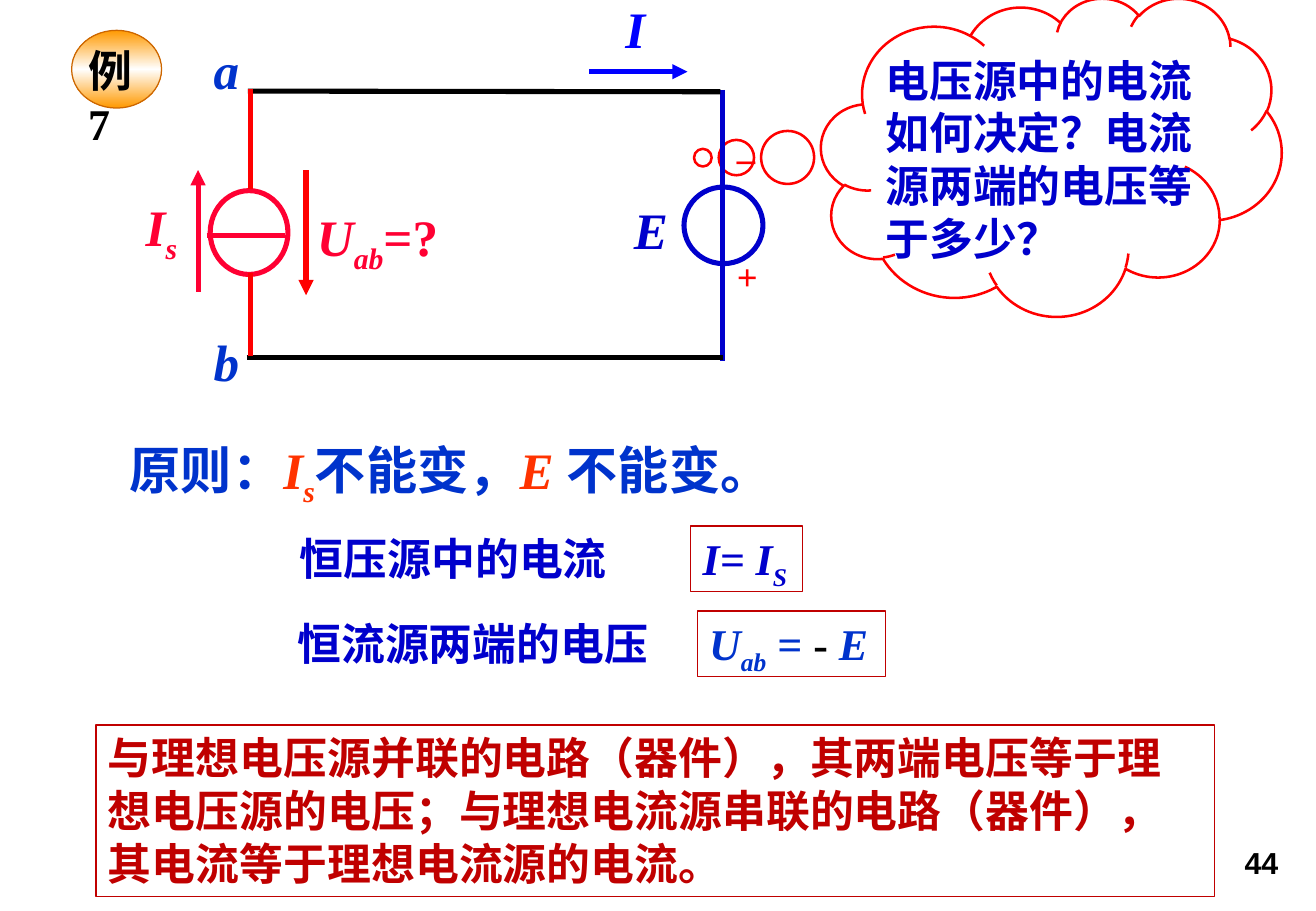
"""Build the slide of example 7: a current source and a voltage source in one loop."""
from copy import deepcopy

from pptx import Presentation
from pptx.dml.color import RGBColor
from pptx.enum.shapes import MSO_CONNECTOR, MSO_SHAPE
from pptx.enum.text import MSO_ANCHOR, MSO_AUTO_SIZE, PP_ALIGN
from pptx.oxml.ns import qn
from pptx.util import Pt
from lxml import etree

STRAIGHT = MSO_CONNECTOR.STRAIGHT
CLOUD, OVAL, RECT = MSO_SHAPE.CLOUD_CALLOUT, MSO_SHAPE.OVAL, MSO_SHAPE.RECTANGLE
TOP, GROW = MSO_ANCHOR.TOP, MSO_AUTO_SIZE.SHAPE_TO_FIT_TEXT
LEFT, RIGHT = PP_ALIGN.LEFT, PP_ALIGN.RIGHT

WHITE = RGBColor(0xFF, 0xFF, 0xFF)
BLACK = RGBColor(0x00, 0x00, 0x00)
RED = RGBColor(0xFF, 0x00, 0x00)
ROSE = RGBColor(0xFF, 0x00, 0x33)
VERMILION = RGBColor(0xFF, 0x33, 0x00)
DARK_RED = RGBColor(0xC0, 0x00, 0x00)
BLUE = RGBColor(0x00, 0x00, 0xFF)
NAVY = RGBColor(0x00, 0x00, 0xCC)
ROYAL = RGBColor(0x00, 0x33, 0xCC)
ORANGE = RGBColor(0xFF, 0x99, 0x00)
BROWN = RGBColor(0xCC, 0x66, 0x00)

SYMBOL, BODY, SIGN = 30.3, 26, 21.7
ITALIC, SUB = "italic", "sub"


class CircuitSlide:
    """Draws text, shapes and wires on one slide in a shared style."""

    def __init__(self, slide):
        self.shapes = slide.shapes
        self.font = "Times New Roman"
        self.wire_width = 3

    def set_lines(self, shape, lines, size, wrap=False, align=LEFT, font=None):
        """Fill a shape with lines, each a list of (text, colour, *style) runs."""
        frame = shape.text_frame
        frame.word_wrap, frame.auto_size, frame.vertical_anchor = wrap, GROW, TOP
        for number, line in enumerate(lines):
            paragraph = frame.add_paragraph() if number else frame.paragraphs[0]
            paragraph.alignment = align
            for text, colour, *style in line:
                run = paragraph.add_run()
                run.text = text
                run.font.name = font or self.font
                run.font.size = Pt(size)
                run.font.bold = True
                run.font.italic = ITALIC in style
                run.font.color.rgb = colour
                if SUB in style:
                    run.font._element.set("baseline", "-25000")

    def text(self, box, lines, size, **options):
        """Add a plain text box."""
        self.set_lines(self.shapes.add_textbox(*map(Pt, box)), lines, size, **options)

    def shape(self, kind, box, outline, width, fill=None):
        """Add an outlined preset shape."""
        shape = self.shapes.add_shape(kind, *map(Pt, box))
        shape.shadow.inherit = False
        shape.line.color.rgb = outline
        shape.line.width = Pt(width)
        if fill is None:
            shape.fill.background()
        else:
            shape.fill.solid()
            shape.fill.fore_color.rgb = fill
        return shape

    def framed(self, box, lines, wrap=False):
        """Add text inside a thin dark red frame."""
        frame = self.shape(RECT, box, DARK_RED, 0.75)
        self.set_lines(frame, lines, BODY, wrap=wrap)

    def badge(self, box):
        """Add an oval shaded from orange to white and back."""
        oval = self.shape(OVAL, box, BROWN, 0.75)
        oval.fill.gradient()
        oval.fill.gradient_angle = 90
        for stop in oval.fill.gradient_stops:
            stop.color.rgb = ORANGE
        first = next(oval.element.iter(qn("a:gs")))
        middle = deepcopy(first)
        middle.set("pos", "50000")
        first.addnext(middle)
        oval.fill.gradient_stops[1].color.rgb = WHITE

    def wire(self, start, end, colour, arrow=False):
        """Add a straight line, with an arrowhead at its end if asked."""
        wire = self.shapes.add_connector(STRAIGHT, *map(Pt, (*start, *end)))
        wire.line.color.rgb = colour
        wire.line.width = Pt(self.wire_width)
        properties = wire.element.spPr
        if arrow:
            etree.SubElement(properties.find(qn("a:ln")), qn("a:tailEnd"), type="triangle")
        etree.SubElement(properties, qn("a:effectLst"))


def draw_question(page):
    """Draw the page number and the thought cloud."""
    page.text((549.4, 496.8, 215.3, 28.8), [[("44", BLACK)]], 18,
              wrap=True, align=RIGHT, font="Arial")
    cloud = page.shape(CLOUD, (486.7, -1.4, 272.9, 188.6), RED, 1.5, WHITE)
    cloud.adjustments[0], cloud.adjustments[1] = -0.757, 0.003
    question = ("电压源中的电流", "如何决定？电流", "源两端的电压等", "于多少？")
    page.text((517.7, 28.1, 199.4, 133.2), [[(line, NAVY)] for line in question], BODY)


def draw_circuit(page):
    """Draw the loop with both sources and its labels."""
    left, right, top, bottom = 148.3, 428.4, 54, 211.7
    page.shape(OVAL, (405.4, 110.9, 46.8, 45.4), NAVY, 3, WHITE)
    page.shape(OVAL, (124.6, 113, 46.1, 49.7), ROSE, 3, WHITE)
    wires = (
        ((right, 53.3), (right, 213.8), NAVY),
        ((427, top + 0.4), (146.9, top), BLACK),
        ((146.2, bottom), (right, bottom), BLACK),
        ((122.4, 139.5), (169.2, 139.5), ROSE),
        ((left, 52.6), (left, 112.3), RED),
        ((left, 162), (left, 211), RED),
        ((349.2, 42.5), (407.5, 42.5), BLUE, True),
        ((181.4, 100.8), (181.4, 175), RED, True),
        ((117.4, 172.8), (117.4, 100.8), ROSE, True),
    )
    for wire in wires:
        page.wire(*wire)
    symbols = (
        (363.6, -5, 26.6, [("I", BLUE, ITALIC)]),
        (368.6, 113.8, 43.9, [("E", NAVY, ITALIC)]),
        (119.5, 19.4, 29.5, [("a", ROYAL, ITALIC)]),
        (119.5, 192.2, 29.5, [("b", ROYAL, ITALIC)]),
        (180.7, 118.1, 90, [("U", ROSE, ITALIC), ("ab", ROSE, ITALIC, SUB), ("=?", ROSE)]),
        (79.2, 112.3, 34.6, [("I", ROSE, ITALIC), ("s", ROSE, ITALIC, SUB)]),
    )
    for x, y, width, runs in symbols:
        page.text((x, y, width, 43.9), [runs], SYMBOL)
    for sign, y in (("_", 69.1), ("+", 146.9)):
        page.text((429.7, y, 27, 33.8), [[(sign, RED)]], SIGN, wrap=True)
    page.badge((42.5, 18, 53.3, 46.1))
    page.text((45.2, 22.5, 53, 39.6), [[("例7", BLACK)]], BODY, wrap=True)


def draw_answer(page):
    """Add the principle, the two results and the conclusion."""
    principle = [("原则：", ROYAL), ("I", VERMILION, ITALIC), ("s", VERMILION, ITALIC, SUB),
                 ("不能变，", ROYAL), ("E ", VERMILION, ITALIC), ("不能变。", ROYAL)]
    page.text((69.8, 256.3, 461.5, 43.9), [principle], SYMBOL, wrap=True)
    current = [("I= I", NAVY, ITALIC), ("S", NAVY, ITALIC, SUB)]
    voltage = [("U", ROYAL, ITALIC), ("ab", ROYAL, ITALIC, SUB), (" = ", ROYAL, ITALIC),
               ("-", BLACK), (" E", ROYAL, ITALIC)]
    results = (
        (311.8, "恒压源中的电流", 170.6, 199.4, current, 409.4, 66.2),
        (362.2, "恒流源两端的电压", 169.2, 225.4, voltage, 413.3, 111.6),
    )
    for y, caption, x, width, formula, formula_x, formula_width in results:
        page.text((x, y, width, 38.9), [[(caption, NAVY)]], BODY)
        page.framed((formula_x, y, formula_width, 38.9), [formula])
    conclusion = ("与理想电压源并联的电路（器件），其两端电压等于理想电压源的电压；"
                  "与理想电流源串联的电路（器件），其电流等于理想电流源的电流。")
    page.framed((56.9, 429.8, 663.1, 101.5), [[(conclusion, DARK_RED)]], wrap=True)


def main():
    """Create and save the presentation."""
    deck = Presentation()
    deck.slide_width, deck.slide_height = Pt(780), Pt(540)
    page = CircuitSlide(deck.slides.add_slide(deck.slide_layouts[6]))
    draw_question(page)
    draw_circuit(page)
    draw_answer(page)
    deck.save("out.pptx")


if __name__ == "__main__":
    main()
